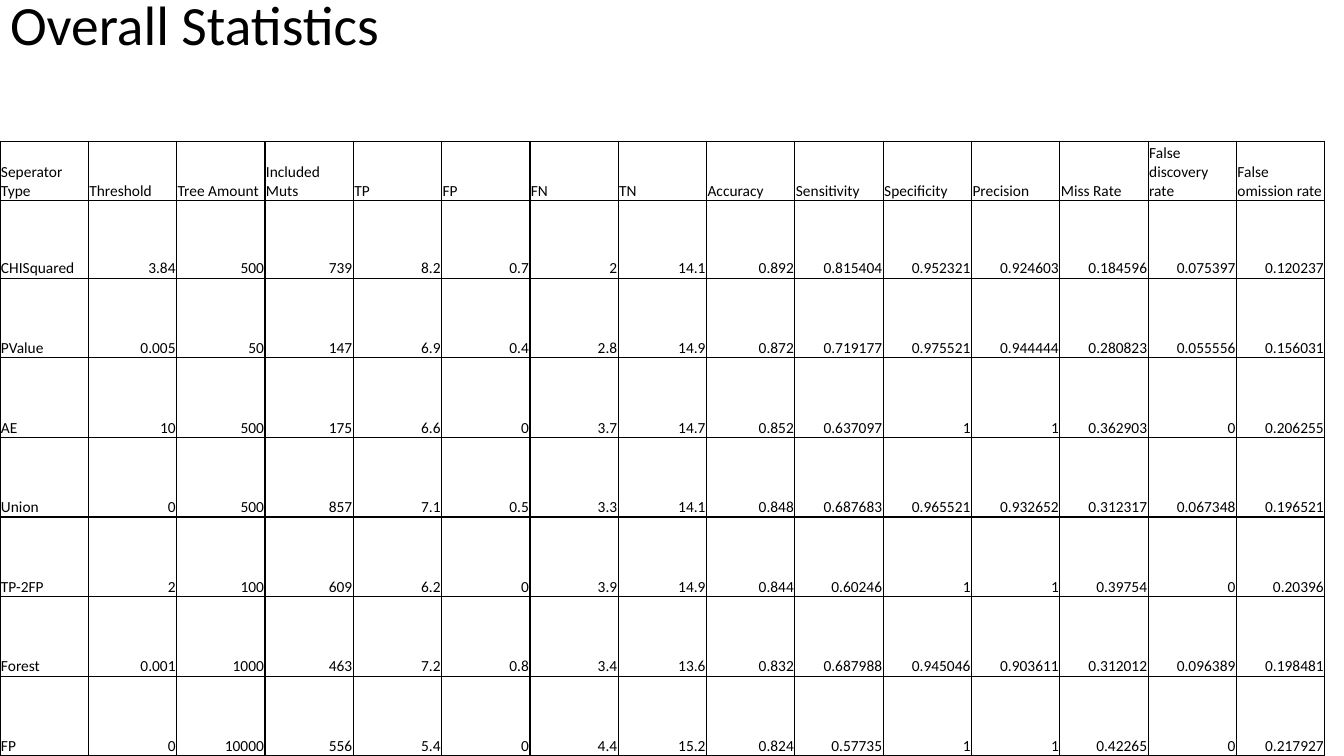
from lxml.etree import SubElement
from pptx import Presentation
from pptx.dml.color import RGBColor
from pptx.enum.text import MSO_ANCHOR as Anchor, MSO_AUTO_SIZE as AutoSize, PP_ALIGN as Align
from pptx.oxml import parse_xml
from pptx.oxml.ns import nsdecls
from pptx.util import Inches, Pt

TITLE = "Overall Statistics"
HEADERS = [
    "Seperator Type", "Threshold", "Tree Amount", "Included Muts", "TP", "FP", "FN", "TN",
    "Accuracy", "Sensitivity", "Specificity", "Precision", "Miss Rate",
    "False discovery rate", "False omission rate",
]
RESULTS = [
    ("CHISquared", 3.84, 500, 739, 8.2, 0.7, 2, 14.1,
     0.892, 0.815404, 0.952321, 0.924603, 0.184596, 0.075397, 0.120237),
    ("PValue", 0.005, 50, 147, 6.9, 0.4, 2.8, 14.9,
     0.872, 0.719177, 0.975521, 0.944444, 0.280823, 0.055556, 0.156031),
    ("AE", 10, 500, 175, 6.6, 0, 3.7, 14.7,
     0.852, 0.637097, 1, 1, 0.362903, 0, 0.206255),
    ("Union", 0, 500, 857, 7.1, 0.5, 3.3, 14.1,
     0.848, 0.687683, 0.965521, 0.932652, 0.312317, 0.067348, 0.196521),
    ("TP-2FP", 2, 100, 609, 6.2, 0, 3.9, 14.9,
     0.844, 0.60246, 1, 1, 0.39754, 0, 0.20396),
    ("Forest", 0.001, 1000, 463, 7.2, 0.8, 3.4, 13.6,
     0.832, 0.687988, 0.945046, 0.903611, 0.312012, 0.096389, 0.198481),
    ("FP", 0, 10000, 556, 5.4, 0, 4.4, 15.2,
     0.824, 0.57735, 1, 1, 0.42265, 0, 0.217927),
]
FONT, INK = "Calibri", "000000"
SLIDE_WIDTH, SLIDE_HEIGHT = Inches(13.33), Inches(7.5)
TABLE_TOP, TABLE_WIDTH = Inches(1.4), Inches(13.14)
HEADER_HEIGHT, FIRST_HEIGHT, ROW_HEIGHT = Inches(0.59), Inches(0.77), Inches(0.79)


def color(hex_value):
    return RGBColor.from_string(hex_value)


def style_font(paragraph, size):
    paragraph.font.name = FONT
    paragraph.font.size = Pt(size)
    paragraph.font.color.rgb = color(INK)


def add_borders(cell):
    properties = cell._tc.get_or_add_tcPr()
    for position, side in enumerate(("lnL", "lnR", "lnT", "lnB")):
        line = parse_xml(
            f'<a:{side} {nsdecls("a")} w="{Pt(1)}"><a:solidFill>'
            f'<a:srgbClr val="{INK}"/></a:solidFill></a:{side}>')
        properties.insert(position, line)


def fill_cell(cell, value):
    cell.text = str(value)
    cell.vertical_anchor = Anchor.BOTTOM
    cell.margin_left = cell.margin_right = cell.margin_top = Inches(0.01)
    cell.margin_bottom = 0
    paragraph = cell.text_frame.paragraphs[0]
    paragraph.alignment = Align.LEFT if isinstance(value, str) else Align.RIGHT
    style_font(paragraph, 11)
    cell.fill.background()
    add_borders(cell)


presentation = Presentation()
presentation.slide_width, presentation.slide_height = SLIDE_WIDTH, SLIDE_HEIGHT
slide = presentation.slides.add_slide(presentation.slide_layouts[5])

# Title
title = slide.shapes.title
title.left, title.top, title.width, title.height = 0, 0, Inches(11.5), Inches(0.55)
title.text = TITLE
title.text_frame.auto_size = AutoSize.NONE
title.text_frame.vertical_anchor = Anchor.MIDDLE
heading = title.text_frame.paragraphs[0]
heading.alignment = Align.LEFT
heading.line_spacing = 0.9
style_font(heading, 39.6)

# Statistics table
rows = [HEADERS, *RESULTS]
heights = [HEADER_HEIGHT, FIRST_HEIGHT] + [ROW_HEIGHT] * (len(rows) - 2)
table = slide.shapes.add_table(
    len(rows), len(HEADERS), 0, TABLE_TOP, TABLE_WIDTH, sum(heights)).table
table.first_row = table.horz_banding = False
for column in table.columns:
    column.width = TABLE_WIDTH // len(HEADERS)
for row, height, values in zip(table.rows, heights, rows):
    row.height = height
    for cell, value in zip(row.cells, values):
        fill_cell(cell, value)

presentation.save("out.pptx")
